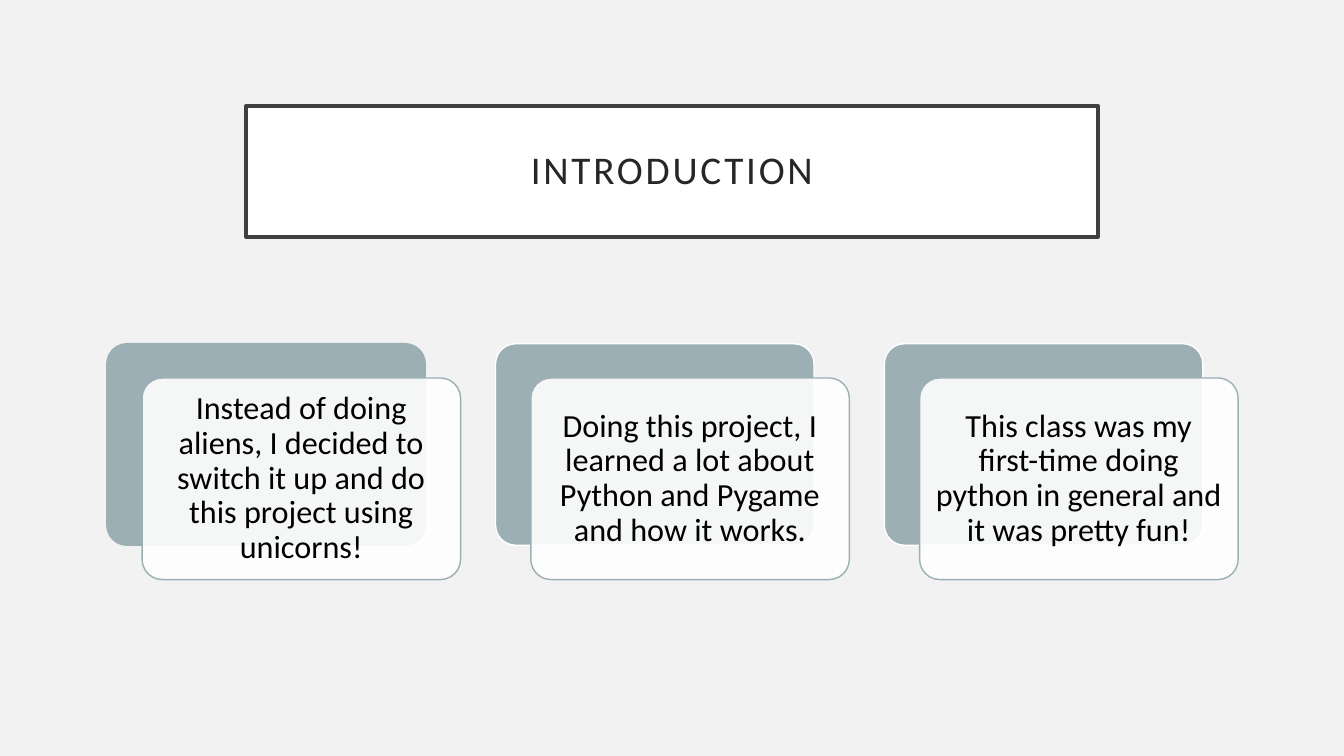
from lxml import etree
from pptx import Presentation
from pptx import util as u
from pptx.dml.color import RGBColor
from pptx.enum import shapes, text
from pptx.oxml import ns

BACKGROUND = RGBColor(0xF2, 0xF2, 0xF2)
WHITE = RGBColor(0xFF, 0xFF, 0xFF)
BLACK = RGBColor(0x00, 0x00, 0x00)
FRAME = RGBColor(0x40, 0x40, 0x40)
TITLE_TEXT = RGBColor(0x26, 0x26, 0x26)
SAGE = RGBColor(0x9B, 0xAF, 0xB5)

CARD_LEFT, CARD_TOP, CARD_STEP = 76.3, 245.5, 277.7
CARD_WIDTH, CARD_HEIGHT = 227.5, 144
OFFSET_X, OFFSET_Y = 25.2, 24.5

CARDS = [
    ("Instead of doing aliens, I decided to switch it up and do this project using unicorns!", SAGE),
    ("Doing this project, I learned a lot about Python and Pygame and how it works.", WHITE),
    ("This class was my first-time doing python in general and it was pretty fun!", WHITE),
]


def add_panel(slide, kind, box, fill, line, line_width):
    shape = slide.shapes.add_shape(kind, *(u.Pt(length) for length in box))
    shape.shadow.inherit = False
    shape.fill.solid()
    shape.fill.fore_color.rgb = fill
    shape.line.color.rgb = line
    shape.line.width = u.Pt(line_width)
    return shape


def add_rounded_panel(slide, left, top, fill, line):
    box = (left, top, CARD_WIDTH, CARD_HEIGHT)
    shape = add_panel(slide, shapes.MSO_SHAPE.ROUNDED_RECTANGLE, box, fill, line, 1)
    shape.adjustments[0] = 0.1
    return shape


def set_opacity(shape, percent):
    color = shape.fill._xPr.find(ns.qn("a:solidFill"))[0]
    etree.SubElement(color, ns.qn("a:alpha")).set("val", str(percent * 1000))


def set_text(shape, content, size, color, inset):
    frame = shape.text_frame
    frame.text = content
    frame.word_wrap = True
    frame.vertical_anchor = text.MSO_ANCHOR.MIDDLE
    frame.margin_left = frame.margin_right = u.Pt(inset)
    frame.margin_top = frame.margin_bottom = u.Pt(inset)
    paragraph = frame.paragraphs[0]
    paragraph.alignment = text.PP_ALIGN.CENTER
    paragraph.line_spacing = 0.9
    run = paragraph.runs[0]
    run.font.name = "Calibri"
    run.font.size = u.Pt(size)
    run.font.color.rgb = color
    return run


def add_title(slide, content):
    box = (175.7, 75.6, 608.6, 93.6)
    shape = add_panel(slide, shapes.MSO_SHAPE.RECTANGLE, box, WHITE, FRAME, 2.5)
    run = set_text(shape, content, 28, TITLE_TEXT, 14.4)
    run.font._element.set("spc", "200")


def add_card(slide, index, content, back_line):
    left = CARD_LEFT + index * CARD_STEP
    add_rounded_panel(slide, left, CARD_TOP, SAGE, back_line)
    front = add_rounded_panel(slide, left + OFFSET_X, CARD_TOP + OFFSET_Y, WHITE, SAGE)
    set_opacity(front, 90)
    set_text(front, content, 23, BLACK, 6.9)


def main():
    presentation = Presentation()
    presentation.slide_width = u.Pt(960)
    presentation.slide_height = u.Pt(540)
    slide = presentation.slides.add_slide(presentation.slide_layouts[6])
    slide.background.fill.solid()
    slide.background.fill.fore_color.rgb = BACKGROUND
    add_title(slide, "INTRODUCTION")
    for index, (content, back_line) in enumerate(CARDS):
        add_card(slide, index, content, back_line)
    presentation.save("out.pptx")


if __name__ == "__main__":
    main()
